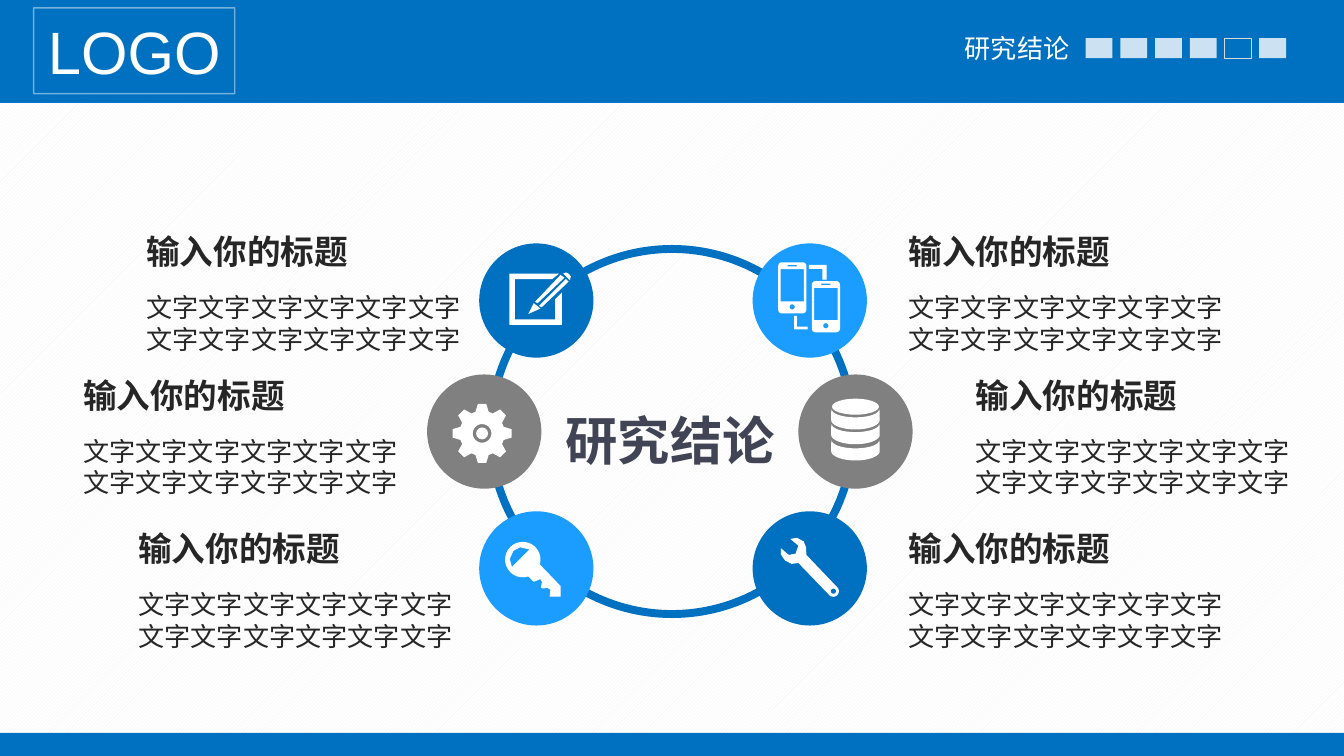
"""Build the research conclusion slide: a ring of six icons with captions."""
from math import cos, radians, sin

from lxml.etree import SubElement
from pptx import Presentation
from pptx.dml.color import RGBColor
from pptx.enum.dml import MSO_PATTERN
from pptx.enum.shapes import MSO_SHAPE as Preset
from pptx.enum.text import MSO_ANCHOR as Anchor, PP_ALIGN as Align
from pptx.oxml.ns import qn
from pptx.util import Pt

COLORS = {"blue": "0070C0", "sky": "1B9DFF", "gray": "808080", "white": "FFFFFF",
          "pattern": "F2F2F2", "outline": "D9D9D9", "text": "262626", "topic": "414455"}
TOPIC = "研究结论"
LOGO = "LOGO"
HEADING = "输入你的标题"
BODY = "文字" * 12
CAPTIONS = [(73.4, 121), (39.6, 198), (69.1, 280), (481.7, 121), (517.7, 198), (481.7, 280)]
BODY_DROP = 32.4
SECTIONS, CURRENT_SECTION = 6, 4
NODE_RADIUS = 30.6


def arc(x, y, rx, ry, start, end, steps=24):
    angles = [radians(start + (end - start) * i / steps) for i in range(steps + 1)]
    return [(x + rx * cos(a), y + ry * sin(a)) for a in angles]


def box(left, top, right, bottom):
    return [(left, top), (right, top), (right, bottom), (left, bottom)]


def phone(x, y, width=15.1, height=27.4, corner=2):
    corners = [(x + width - corner, y + height - corner, 0), (x + corner, y + height - corner, 90),
               (x + corner, y + corner, 180), (x + width - corner, y + corner, 270)]
    case = [point for cx, cy, turn in corners
            for point in arc(cx, cy, corner, corner, turn, turn + 90, 6)]
    return [case, box(x + 1.3, y + 3.6, x + width - 1.3, y + 20.9),
            box(x + 5, y + 1.4, x + 10, y + 2.2), arc(x + 7.5, y + 23.9, 1.4, 1.4, 0, 360)]


def gear(x, y, teeth=8):
    profile = [(12.1, -17), (16, -8), (16, 8), (12.1, 17)]
    rim = [(x + r * cos(radians(360 / teeth * i + a)), y + r * sin(radians(360 / teeth * i + a)))
           for i in range(teeth) for r, a in profile]
    return [rim, arc(x, y, 5, 5, 0, 360)]


def disk_band(y):
    return [arc(0, y, 12.7, 4.3, 180, 0) + [(13, y + 1.4)]
            + arc(0, y + 5.8, 13, 5, 0, 180) + [(-13, y + 1.4)]]


PENCIL = [
    [[(2.2, 4.3), (-1.4, 1.4), (-4.3, 7.2)]],
    [[(13, -13.7), (-0.7, 0.7), (0.7, 1.4), (15.1, -12.2)]],
    [[(1.4, 2.9), (2.9, 3.6), (17.3, -10.1), (15.8, -11.5)]],
    [[(14.4, -14.4), (16, -15), (17.3, -14.4), (18.5, -13), (18, -10.8)]],
    [[(10.1, 10.1), (-11.5, 10.1), (-11.5, -11.5), (8.6, -11.5), (12.2, -14.4), (-14.4, -14.4),
      (-14.4, 13), (13.7, 13), (13.7, -4.3), (10.1, -0.7)]],
]
KEY = [[
    arc(-7.2, -4.7, 9.5, 9.5, 72, 376)
    + [(13, 9.4), (13, 15.1), (7.2, 15.1), (7.6, 11.5), (6, 10.4), (3.6, 10.8), (2.5, 10.2),
       (3.1, 7.2), (2.2, 5.8), (-1.4, 7.2)],
    [(-13, -0.7), (-14.2, -5), (-12.2, -9.4), (-8.6, -11.3), (-3.6, -10.1)],
]]
WRENCH = [[
    [(-1.8, -7.2), (-2, -11.3), (-3.2, -14.4), (-6.8, -16.4), (-10.4, -15.8), (-6.1, -12.2),
     (-7.6, -7.9), (-11.2, -7.2), (-15.5, -10.8), (-15.5, -7.5), (-13.3, -4.3), (-9.7, -2.4),
     (-6.1, -2.9)] + arc(12.6, 12.2, 3, 3, 135, -45),
    arc(12.7, 12.2, 1.4, 1.4, 0, 360),
]]
PHONES = [
    phone(-16.9, -20.5), phone(1.1, -10.4),
    [[(-0.4, -19.1), (9, -19.1), (9, -11.2), (6.8, -11.2), (6.8, -16.9), (-0.4, -16.9)]],
    [[(-8.3, 8.3), (-6.8, 8.3), (-6.8, 14), (-1.1, 14), (-1.1, 15.5), (-8.3, 15.5)]],
]
DATABASE = [disk_band(y) for y in (-11.9, -4, 4.7)]
NODES = [
    (287.3, 161, "blue", PENCIL, []),
    (259.4, 231.2, "gray", [gear(-1.1, 1)], [(-1.1, 1, 3.2, 3.2)]),
    (458.3, 231.2, "gray", DATABASE, [(0, -13.3, 12.6, 4.3)]),
    (287.3, 304.5, "sky", KEY, []),
    (433.8, 304.5, "blue", WRENCH, []),
    (433.8, 161, "sky", PHONES, []),
]


def rgb(name):
    return RGBColor.from_string(COLORS[name])


def set_opacity(fill, percent):
    color = fill._xPr.find(qn("a:solidFill"))[0]
    SubElement(color, qn("a:alpha"), val=str(percent * 1000))


def paint(shape, fill=None, line=None, weight=1):
    shape.shadow.inherit = False
    if fill:
        shape.fill.solid()
        shape.fill.fore_color.rgb = rgb(fill)
    else:
        shape.fill.background()
    if line:
        shape.line.color.rgb = rgb(line)
        shape.line.width = Pt(weight)
    else:
        shape.line.fill.background()
    return shape


def add_preset(shapes, kind, left, top, width, height, **style):
    return paint(shapes.add_shape(kind, Pt(left), Pt(top), Pt(width), Pt(height)), **style)


def add_disc(shapes, x, y, rx, ry, **style):
    return add_preset(shapes, Preset.OVAL, x - rx, y - ry, 2 * rx, 2 * ry, **style)


def add_outline(shapes, x, y, contours):
    placed = [[((x + dx) * 100, (y + dy) * 100) for dx, dy in contour] for contour in contours]
    builder = shapes.build_freeform(*placed[0][0], scale=Pt(1) / 100)
    for i, contour in enumerate(placed):
        if i:
            builder.move_to(*contour[0])
        builder.add_line_segments(contour[1:], close=True)
    paint(builder.convert_to_shape(), fill="white")


def write(shape, text, size, color, font="Arial", bold=False, wrap=False, inset=(7.2, 3.6)):
    frame = shape.text_frame
    frame.word_wrap = wrap
    frame.margin_left = frame.margin_right = Pt(inset[0])
    frame.margin_top = frame.margin_bottom = Pt(inset[1])
    paragraph = frame.paragraphs[0]
    paragraph.text = text
    paragraph.font.name, paragraph.font.size, paragraph.font.bold = font, Pt(size), bold
    paragraph.font.color.rgb = rgb(color)
    return paragraph


def add_text(shapes, left, top, width, height, *content, **style):
    return write(shapes.add_textbox(Pt(left), Pt(top), Pt(width), Pt(height)), *content, **style)


def main():
    deck = Presentation()
    deck.slide_width, deck.slide_height = Pt(720), Pt(405)
    slide = deck.slides.add_slide(deck.slide_layouts[6])
    shapes = slide.shapes
    backdrop = slide.background.fill
    backdrop.patterned()
    backdrop.pattern = MSO_PATTERN.LIGHT_UPWARD_DIAGONAL
    backdrop.fore_color.rgb, backdrop.back_color.rgb = rgb("pattern"), rgb("white")

    for top, height in [(0, 55.2), (392.6, 12.4)]:
        add_preset(shapes, Preset.RECTANGLE, 0, top, 720, height, fill="blue")
    add_text(shapes, 509.8, 13.7, 72, 24.5, TOPIC, 14, "white", font="Noto Sans CJK SC")
    for i in range(SECTIONS):
        style = {"line": "outline", "weight": 0.5} if i == CURRENT_SECTION else {"fill": "white"}
        marker = add_preset(shapes, Preset.RECTANGLE, 581.6 + 18.6 * i, 20.4, 14.4, 10.8, **style)
        if i != CURRENT_SECTION:
            set_opacity(marker.fill, 80)

    logo = add_preset(shapes, Preset.RECTANGLE, 18, 4.2, 107.8, 46, line="white", weight=0.75)
    set_opacity(logo.line.fill, 46)
    logo.text_frame.vertical_anchor = Anchor.MIDDLE
    write(logo, LOGO, 32, "white").alignment = Align.CENTER

    add_disc(shapes, 360, 231.2, 97.2, 97.8, line="blue", weight=4.25)
    for x, y, color, outlines, discs in NODES:
        node = shapes.add_group_shape().shapes
        add_disc(node, x, y, NODE_RADIUS, NODE_RADIUS, fill=color)
        for contours in outlines:
            add_outline(node, x, y, contours)
        for dx, dy, rx, ry in discs:
            add_disc(node, x + dx, y + dy, rx, ry, fill="white")

    for left, top in CAPTIONS:
        caption = shapes.add_group_shape().shapes
        add_text(caption, left, top + BODY_DROP, 186.5, 39.6, BODY, 14, "text",
                 wrap=True, inset=(5, 2.9))
        add_text(caption, left, top, 120.2, 27.4, HEADING, 18, "text", bold=True, inset=(5, 2.9))
    add_text(shapes, 296, 205.2, 126.7, 51, TOPIC, 28, "topic", bold=True).line_spacing = 1.3
    deck.save("out.pptx")


if __name__ == "__main__":
    main()
